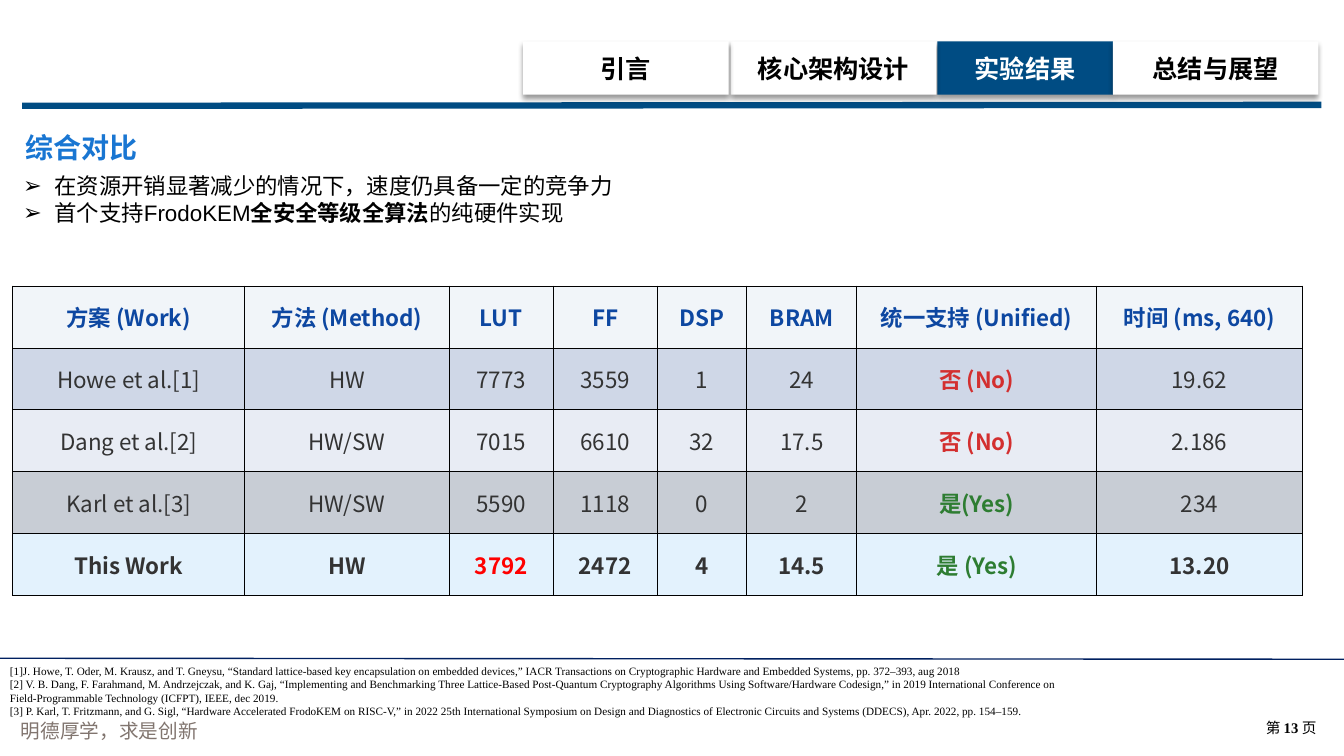
from lxml.etree import SubElement
from pptx import Presentation
from pptx.dml.color import RGBColor
from pptx.enum.shapes import MSO_CONNECTOR as Link, MSO_SHAPE as Shape
from pptx.enum.text import MSO_ANCHOR as Anchor, MSO_AUTO_SIZE as Fit, PP_ALIGN as Align
from pptx.oxml.ns import qn
from pptx.util import Pt

SANS, SERIF, ARIAL = "Noto Sans CJK SC", "Times New Roman", "Arial"

BLACK = RGBColor(0x00, 0x00, 0x00)
WHITE = RGBColor(0xFF, 0xFF, 0xFF)
BLUE = RGBColor(0x00, 0x4C, 0x83)
NAVY = RGBColor(0x00, 0x20, 0x60)
SKY = RGBColor(0x19, 0x76, 0xD2)
TAUPE = RGBColor(0x81, 0x75, 0x6F)
HEAD = RGBColor(0x0D, 0x47, 0xA1)
INK = RGBColor(0x33, 0x33, 0x33)
HOT = RGBColor(0xFF, 0x00, 0x00)
MARKS = {"否": RGBColor(0xD3, 0x2F, 0x2F), "是": RGBColor(0x2E, 0x7D, 0x32)}
FILLS = [
    RGBColor(0xF1, 0xF5, 0xF9),
    RGBColor(0xCF, 0xD7, 0xE7),
    RGBColor(0xE8, 0xEC, 0xF4),
    RGBColor(0xC8, 0xCD, 0xD5),
    RGBColor(0xE3, 0xF2, 0xFD),
]

TABS = [
    ("实验结果", 669.6, 125.3),
    ("核心架构设计", 522, 146.9),
    ("总结与展望", 794.9, 146.9),
    ("引言", 373.7, 146.9),
]
POINTS = [
    [("在资源开销显著减少的情况下，速度仍具备一定的竞争力", False)],
    [("首个支持FrodoKEM", False), ("全安全等级全算法", True), ("的纯硬件实现", False)],
]
WIDTHS = [165.6, 146.2, 74.2, 74.2, 64.1, 78.5, 171.4, 146.9]
ROWS = [
    ["方案 (Work)", "方法 (Method)", "LUT", "FF", "DSP", "BRAM",
     "统一支持 (Unified)", "时间 (ms, 640)"],
    ["Howe et al.[1]", "HW", "7773", "3559", "1", "24", "否 (No)", "19.62"],
    ["Dang et al.[2]", "HW/SW", "7015", "6610", "32", "17.5", "否 (No)", "2.186"],
    ["Karl et al.[3]", "HW/SW", "5590", "1118", "0", "2", "是(Yes)", "234"],
    ["This Work", "HW", "3792", "2472", "4", "14.5", "是 (Yes)", "13.20"],
]
REFS = [
    "[1]J. Howe, T. Oder, M. Krausz, and T. Gneysu, “Standard lattice-based key "
    "encapsulation on embedded devices,” IACR Transactions on Cryptographic Hardware "
    "and Embedded Systems, pp. 372–393, aug 2018",
    "[2] V. B. Dang, F. Farahmand, M. Andrzejczak, and K. Gaj, “Implementing and "
    "Benchmarking Three Lattice-Based Post-Quantum Cryptography Algorithms Using "
    "Software/Hardware Codesign,” in 2019 International Conference on "
    "Field-Programmable Technology (ICFPT), IEEE, dec 2019.",
    "[3] P. Karl, T. Fritzmann, and G. Sigl, “Hardware Accelerated FrodoKEM on "
    "RISC-V,” in 2022 25th International Symposium on Design and Diagnostics of "
    "Electronic Circuits and Systems (DDECS), Apr. 2022, pp. 154–159.",
]


def style(run, size, color, bold=False, face=SANS):
    """Format a run; Arial text takes its Chinese glyphs from the sans face."""
    font = run.font
    font.size, font.bold, font.name = Pt(size), bold, face
    font.color.rgb = color
    wide = SANS if face == ARIAL else face
    SubElement(run._r.get_or_add_rPr(), qn("a:ea"), typeface=wide)


def add_box(slide, *area):
    frame = slide.shapes.add_textbox(*map(Pt, area)).text_frame
    frame.word_wrap = True
    return frame


def add_run(para, text, *look):
    run = para.add_run()
    run.text = text
    style(run, *look)


def add_rule(slide, ends, color, width):
    line = slide.shapes.add_connector(Link.STRAIGHT, *map(Pt, ends))
    line.line.color.rgb = color
    line.line.width = Pt(width)
    SubElement(line._element.spPr, qn("a:effectLst"))


def add_tab(slide, text, left, width):
    tab = slide.shapes.add_shape(Shape.RECTANGLE, Pt(left), Pt(29.5), Pt(width), Pt(38.2))
    live = text == "实验结果"
    tab.fill.solid()
    tab.fill.fore_color.rgb = BLUE if live else WHITE
    tab.line.fill.background()
    tab.shadow.inherit = False
    glow = SubElement(
        tab._element.spPr.find(qn("a:effectLst")), qn("a:outerShdw"),
        blurRad=str(Pt(4)), dist=str(Pt(3)), dir="5400000", rotWithShape="0")
    tint = SubElement(glow, qn("a:srgbClr"), val=str(BLACK))
    SubElement(tint, qn("a:alpha"), val="40000")
    frame = tab.text_frame
    frame.text = text
    frame.vertical_anchor = Anchor.MIDDLE
    para = frame.paragraphs[0]
    para.alignment = Align.CENTER
    style(para.runs[0], 18, WHITE if live else BLACK, True)


def set_title(slide, text):
    title = slide.shapes.title
    title.left, title.top, title.width, title.height = map(Pt, (9.4, 77.8, 383.8, 39.6))
    frame = title.text_frame
    frame.text = text
    frame.auto_size, frame.vertical_anchor = Fit.NONE, Anchor.TOP
    para = frame.paragraphs[0]
    para.alignment, para.line_spacing = Align.LEFT, 1.5
    para._p.get_or_add_pPr().set("marL", str(Pt(1.4)))
    style(para.runs[0], 20, SKY, True)


def add_points(slide):
    frame = add_box(slide, 9.4, 119.5, 648, 65.5)
    for i, parts in enumerate(POINTS):
        para = frame.add_paragraph() if i else frame.paragraphs[0]
        props = para._p.get_or_add_pPr()
        props.set("marL", str(Pt(22.5)))
        props.set("indent", str(Pt(-22.5)))
        SubElement(props, qn("a:buFont"), typeface=ARIAL)
        SubElement(props, qn("a:buChar"), char="➢")
        for text, bold in parts:
            add_run(para, text, 16, BLACK, bold, ARIAL)


def add_edges(cell):
    props = cell._tc.get_or_add_tcPr()
    for side in ("lnL", "lnR", "lnT", "lnB"):
        edge = SubElement(props, qn("a:" + side), w=str(Pt(0.75)))
        fill = SubElement(edge, qn("a:solidFill"))
        SubElement(fill, qn("a:srgbClr"), val=str(BLACK))


def fill_cell(cell, text, row):
    add_edges(cell)
    cell.fill.solid()
    cell.fill.fore_color.rgb = FILLS[row]
    cell.margin_left = cell.margin_right = Pt(5)
    cell.margin_top = cell.margin_bottom = Pt(2.2)
    cell.vertical_anchor = Anchor.MIDDLE
    cell.text_frame.text = text
    para = cell.text_frame.paragraphs[0]
    para.alignment = Align.CENTER
    color = HEAD if row == 0 else HOT if text == "3792" else MARKS.get(text[0], INK)
    bold = row in (0, len(ROWS) - 1) or text[0] in MARKS
    style(para.runs[0], 16, color, bold)


def add_grid(slide):
    area = map(Pt, (9.2, 204.3, sum(WIDTHS), 221.3))
    table = slide.shapes.add_table(len(ROWS), len(WIDTHS), *area).table
    table.horz_banding = False
    for col, width in zip(table.columns, WIDTHS):
        col.width = Pt(width)
    for r, texts in enumerate(ROWS):
        for c, text in enumerate(texts):
            fill_cell(table.cell(r, c), text, r)


def add_refs(slide):
    frame = add_box(slide, 0, 471, 763, 67.7)
    frame.text = "\n".join(REFS)
    for para in frame.paragraphs:
        style(para.runs[0], 8, BLACK, False, SERIF)


def add_foot(slide):
    motto = add_box(slide, 7.9, 509.8, 212.4, 24.5).paragraphs[0]
    add_run(motto, "明德厚学，求是创新", 14, TAUPE)
    page = add_box(slide, 897.1, 509.8, 55.4, 20.2).paragraphs[0]
    add_run(page, "第 ", 10.5, BLACK)
    add_run(page, "13 ", 10.5, BLACK, True, SERIF)
    add_run(page, "页", 10.5, BLACK)


def main():
    deck = Presentation()
    deck.slide_width, deck.slide_height = Pt(960), Pt(540)
    slide = deck.slides.add_slide(deck.slide_layouts[5])
    add_foot(slide)
    add_rule(slide, (15.8, 75.6, 943.9, 74.9), BLUE, 4.5)
    for tab in TABS:
        add_tab(slide, *tab)
    set_title(slide, "综合对比")
    add_grid(slide)
    add_rule(slide, (-1.4, 470.2, 960, 470.9), NAVY, 1)
    add_refs(slide)
    add_points(slide)
    deck.save("out.pptx")


if __name__ == "__main__":
    main()
